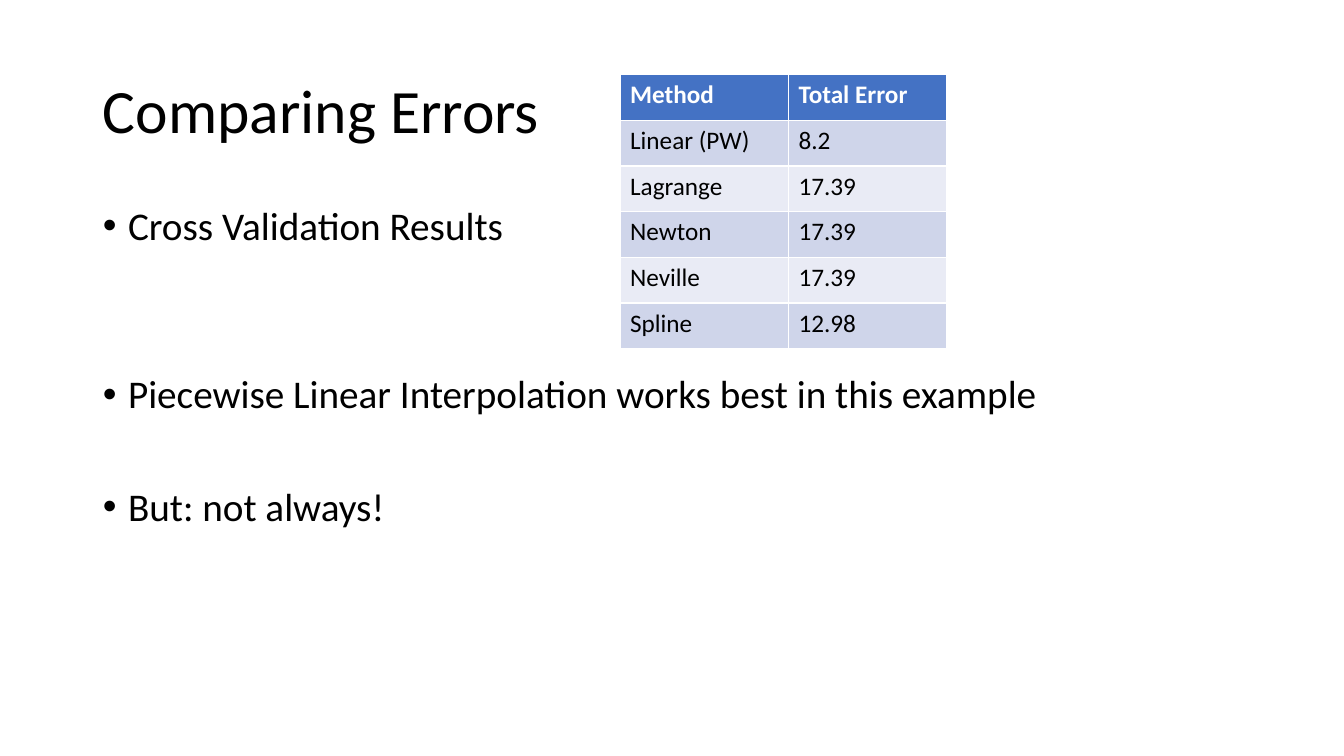
from pptx import Presentation
from pptx.dml.color import RGBColor
from pptx.enum.text import MSO_ANCHOR, MSO_AUTO_SIZE, PP_ALIGN
from pptx.util import Inches, Pt

LEFT, MIDDLE, NO_FIT = PP_ALIGN.LEFT, MSO_ANCHOR.MIDDLE, MSO_AUTO_SIZE.NONE

FONT = "Calibri"
BLACK, WHITE, BLUE = "000000", "FFFFFF", "4472C4"
BANDS = ("CFD5EA", "E9EBF5")

TITLE = "Comparing Errors"
# Each bullet with the number of free lines above it
POINTS = [
    ("Cross Validation Results", 0),
    ("Piecewise Linear Interpolation works best in this example", 2),
    ("But: not always!", 1),
]
ERRORS = [
    ("Method", "Total Error"),
    ("Linear (PW)", "8.2"),
    ("Lagrange", "17.39"),
    ("Newton", "17.39"),
    ("Neville", "17.39"),
    ("Spline", "12.98"),
]
WIDTHS = (1.67, 1.57)
ROW = 0.4535
GAP, LINE = 10, 40


def color(code):
    return RGBColor.from_string(code)


def style(para, size, code=BLACK, bold=False):
    for run in para.runs:
        font = run.font
        font.name, font.size, font.bold = FONT, Pt(size), bold
        font.color.rgb = color(code)


def place(shape, left, top, width, height):
    shape.left, shape.top = Inches(left), Inches(top)
    shape.width, shape.height = Inches(width), Inches(height)
    shape.text_frame.auto_size = NO_FIT


def add_title(slide):
    title = slide.shapes.title
    place(title, 0.92, 0.4, 11.5, 1.45)
    frame = title.text_frame
    frame.text, frame.vertical_anchor = TITLE, MIDDLE
    para = frame.paragraphs[0]
    para.alignment, para.line_spacing = LEFT, 0.9
    style(para, 44)


def add_points(slide):
    body = slide.placeholders[1]
    place(body, 0.92, 2, 11.5, 4.76)
    frame = body.text_frame
    frame.text = "\n".join(text for text, _ in POINTS)
    for para, (_, free) in zip(frame.paragraphs, POINTS):
        para.line_spacing = 0.9
        para.space_before = Pt(GAP + free * LINE)
        props = para._p.get_or_add_pPr()
        props.set("marL", str(Inches(0.25)))
        props.set("indent", str(Inches(-0.25)))
        style(para, 28)


def add_errors(slide):
    rows = len(ERRORS)
    table = slide.shapes.add_table(
        rows, len(WIDTHS), Inches(6.15), Inches(0.74),
        Inches(sum(WIDTHS)), Inches(rows * ROW)).table
    for col, width in zip(table.columns, WIDTHS):
        col.width = Inches(width)
    for r, record in enumerate(ERRORS):
        head = r == 0
        for c, text in enumerate(record):
            cell = table.cell(r, c)
            cell.text = text
            cell.fill.solid()
            cell.fill.fore_color.rgb = color(BLUE if head else BANDS[(r - 1) % 2])
            style(cell.text_frame.paragraphs[0], 18, WHITE if head else BLACK, head)


def main():
    deck = Presentation()
    deck.slide_width, deck.slide_height = Inches(13.33), Inches(7.5)
    slide = deck.slides.add_slide(deck.slide_layouts[1])
    add_title(slide)
    add_points(slide)
    add_errors(slide)
    deck.save("out.pptx")


if __name__ == "__main__":
    main()
